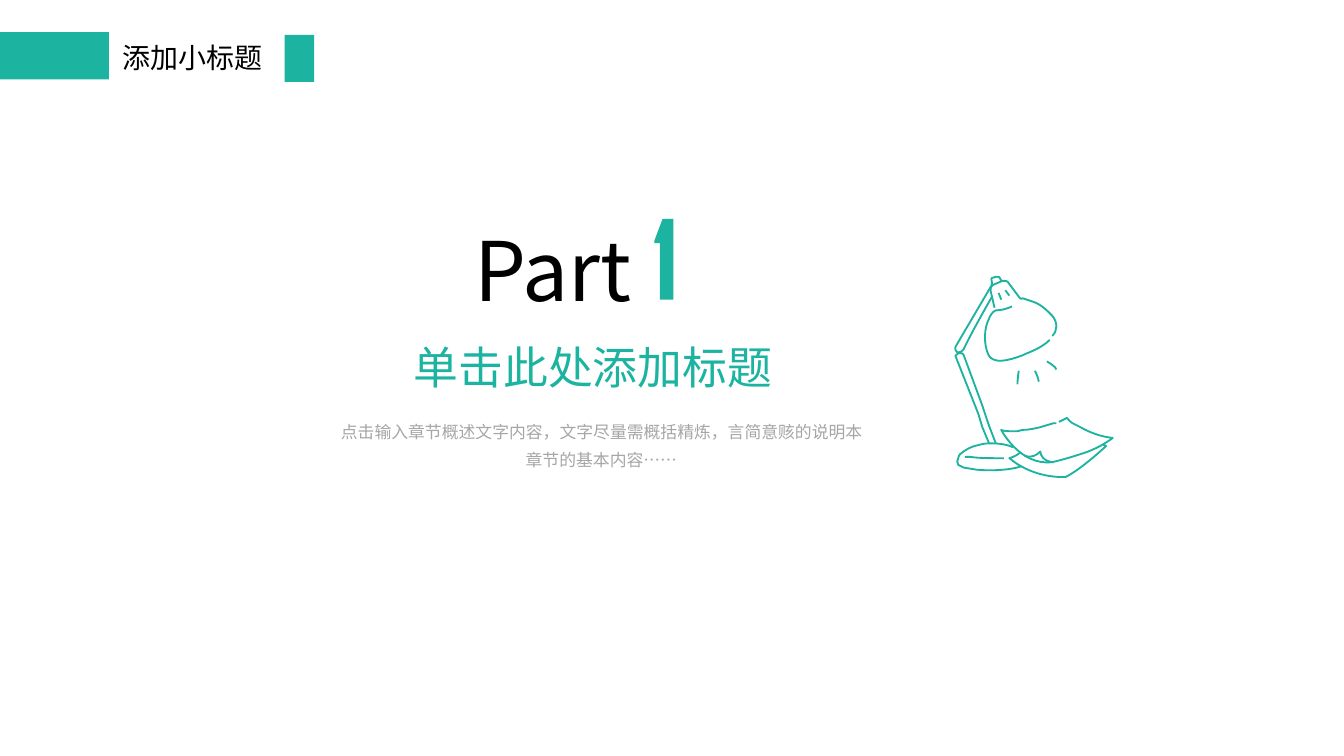
from lxml.etree import SubElement
from pptx import Presentation
from pptx.dml.color import RGBColor
from pptx.enum.shapes import MSO_CONNECTOR, MSO_SHAPE
from pptx.enum.text import PP_ALIGN
from pptx.oxml.ns import qn
from pptx.util import Cm, Pt

COLORS = {"teal": "1DB3A1", "black": "000000", "gray": "A6A6A6"}
FONT = "Noto Sans CJK SC"
UNIT = Cm(0.0254)  # drawings are laid out in hundredths of an inch
TEAL = RGBColor.from_string(COLORS["teal"])


def add_text(at, text, size, color, align=PP_ALIGN.LEFT, inset=(0, 0), spacing=None):
    box = page.shapes.add_textbox(*(Cm(value) for value in at))
    frame = box.text_frame
    frame.word_wrap = True
    frame.margin_left = frame.margin_right = Cm(inset[0])
    frame.margin_top = frame.margin_bottom = Cm(inset[1])
    para = frame.paragraphs[0]
    para.text = text
    para.alignment = align
    if spacing:
        para.line_spacing = Pt(spacing)
    para.font.size = Pt(size)
    para.font.color.rgb = RGBColor.from_string(COLORS[color])
    para.font.name = FONT
    SubElement(para._p.pPr.find(qn("a:defRPr")), qn("a:ea"), typeface=FONT)


def add_stroke(shapes, start, segments):
    """Draw an open outline; a segment is (x, y) or a curve of three points."""
    points = [segment[i:i + 2] for segment in segments for i in range(0, len(segment), 2)]
    builder = shapes.build_freeform(start[0] * UNIT, start[1] * UNIT)
    builder.add_line_segments([(x * UNIT, y * UNIT) for x, y in points], close=False)
    stroke = builder.convert_to_shape()
    stroke.shadow.inherit = False
    stroke.fill.background()
    stroke.line.color.rgb = TEAL
    stroke.line.width = Pt(1)
    steps = iter(stroke._element.xpath(".//a:lnTo"))
    for segment in segments:
        first = next(steps)
        if len(segment) == 6:
            first.tag = qn("a:cubicBezTo")
            for _ in range(2):
                step = next(steps)
                first.append(step[0])
                step.getparent().remove(step)


deck = Presentation()
deck.slide_width, deck.slide_height = Cm(25.4), Cm(14.29)
page = deck.slides.add_slide(deck.slide_layouts[6])

# Header
for left, top, width in [(0, 0.61, 2.06), (5.38, 0.66, 0.56)]:
    bar = page.shapes.add_shape(MSO_SHAPE.RECTANGLE, Cm(left), Cm(top), Cm(width), Cm(0.89))
    bar.shadow.inherit = False
    bar.fill.solid()
    bar.fill.fore_color.rgb = TEAL
    bar.line.fill.background()
add_text((2.13, 0.66, 3.43, 0.84), "添加小标题", 15, "black", inset=(0.18, 0.1))

# Section title
add_text((7.82, 6.43, 10.34, 1.02), "单击此处添加标题", 24, "teal")
add_text((6.3, 7.82, 10.13, 1.02),
         "点击输入章节概述文字内容，文字尽量需概括精炼，言简意赅的说明本章节的基本内容……",
         9, "gray", PP_ALIGN.CENTER, spacing=15)
add_text((8.89, 4.14, 3.12, 1.88), "Part", 44, "black", PP_ALIGN.CENTER)

digit_outline = [(491, 223), (491, 181), (487, 181), (487, 179), (493, 163), (501, 163)]
builder = page.shapes.build_freeform(501 * UNIT, 223 * UNIT)
builder.add_line_segments([(x * UNIT, y * UNIT) for x, y in digit_outline], close=True)
digit = builder.convert_to_shape()
digit.shadow.inherit = False
digit.fill.solid()
digit.fill.fore_color.rgb = TEAL
digit.line.fill.background()

# Desk lamp and papers
light_rays = [
    ((758, 276), [(758, 276, 757, 283, 757, 286)]),
    ((770, 276), [(770, 276, 772, 279, 773, 284)]),
    ((779, 269), [(779, 269, 786, 273, 786, 275)]),
]
papers = [
    ((821, 331), [(823, 332), (823, 332, 805, 349, 793, 355), (793, 355, 770, 357, 751, 341),
                  (751, 341, 752, 341, 756, 339), (759, 337)]),
    ((788, 314), [(788, 314, 790, 313, 794, 311), (794, 311, 795, 313, 798, 315), (804, 318),
                  (811, 322, 819, 325, 828, 326), (828, 326, 818, 334, 804, 338),
                  (792, 342, 783, 344, 783, 344), (759, 347, 745, 320, 745, 320),
                  (747, 321, 750, 321, 754, 321), (757, 321), (761, 320),
                  (765, 320, 770, 319, 774, 318), (784, 315), (786, 315)]),
    ((784, 344), [(784, 344, 775, 344, 774, 336), (774, 336, 769, 342, 762, 339)]),
]
shade = [
    ((781, 253), [(776, 258, 769, 261, 764, 263), (760, 265, 754, 267, 749, 268),
                  (744, 269, 737, 269, 735, 263), (732, 256, 732, 244, 736, 237),
                  (736, 236, 739, 231, 741, 231), (741, 231, 747, 231, 753, 228)]),
    ((740, 229), [(737, 216), (737, 213, 739, 212, 739, 212), (746, 209),
                  (748, 208, 750, 210, 750, 210), (759, 222), (759, 223, 761, 222, 761, 222),
                  (763, 223, 765, 223, 767, 224), (774, 226, 778, 230, 783, 235),
                  (787, 240, 787, 246, 783, 250)]),
    ((745, 209), [(744, 207), (744, 207, 743, 205, 741, 206), (738, 207),
                  (738, 207, 737, 208, 738, 210), (738, 212)]),
]
arms = [
    ((738, 212), [(711, 258), (711, 258, 710, 260, 712, 262), (712, 262, 715, 263, 717, 260),
                  (723, 247, 738, 221, 738, 221)]),
    ((741, 330), [(736, 317), (733, 308), (731, 302), (717, 264),
                  (716, 262, 713, 263, 713, 263), (711, 264, 711, 265, 711, 265),
                  (726, 303), (728, 308), (731, 318), (736, 330)]),
]
base = [
    ((760, 347), [(752, 350, 738, 350, 738, 350), (733, 350, 728, 350, 723, 349),
                  (721, 349, 719, 348, 717, 348), (716, 347, 714, 347, 713, 346),
                  (712, 344, 712, 343, 713, 341), (713, 339, 715, 337, 717, 336),
                  (720, 334, 722, 333, 725, 332), (726, 332, 728, 331, 729, 331),
                  (732, 330, 735, 330, 738, 330), (744, 330, 750, 331, 754, 333)]),
    ((747, 341), [(737, 341, 728, 341, 722, 340), (718, 340)]),
]
lamp = page.shapes.add_group_shape()
for start, segments in light_rays + papers + shade + arms + base:
    add_stroke(lamp.shapes, start, segments)

for vent in [(748, 216, 751, 220), (743, 218, 745, 223)]:
    line = lamp.shapes.add_connector(MSO_CONNECTOR.STRAIGHT, *(value * UNIT for value in vent))
    line.line.color.rgb = TEAL
    line.line.width = Pt(1)
    SubElement(line._element.spPr, qn("a:effectLst"))

deck.save("out.pptx")
